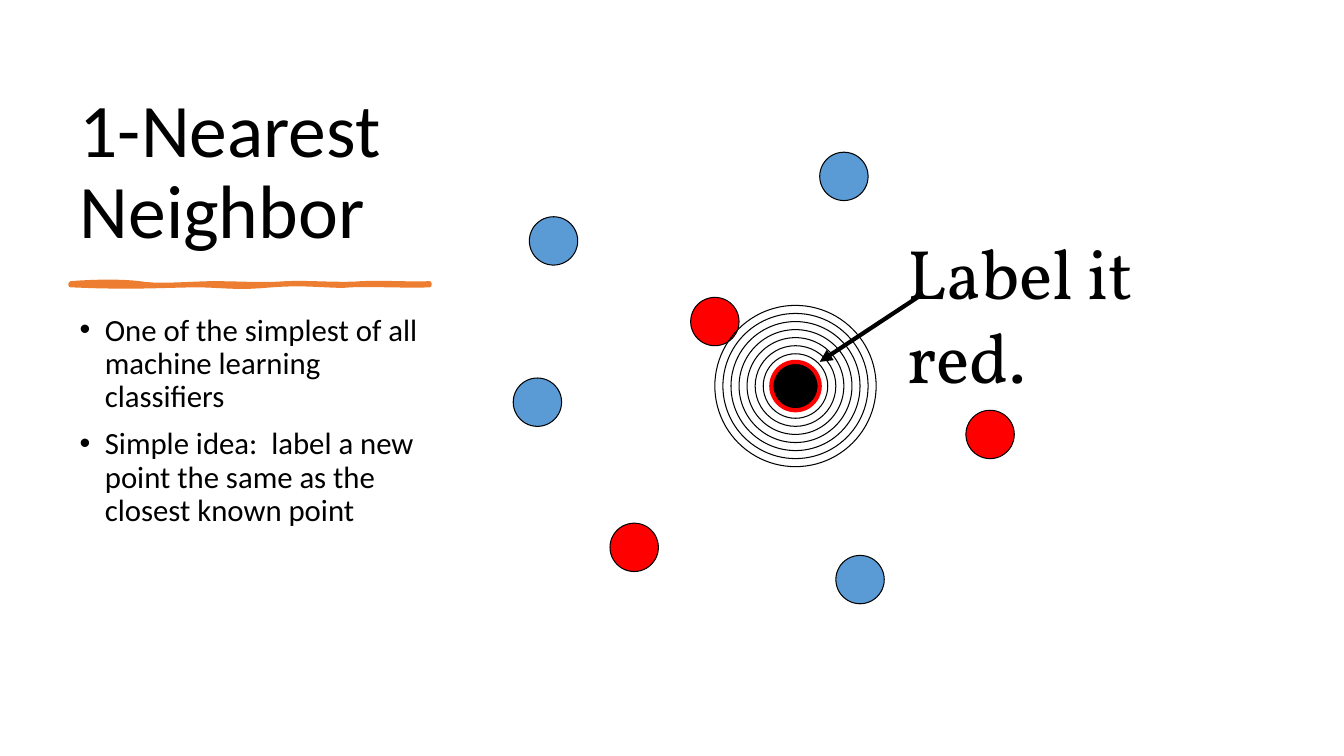
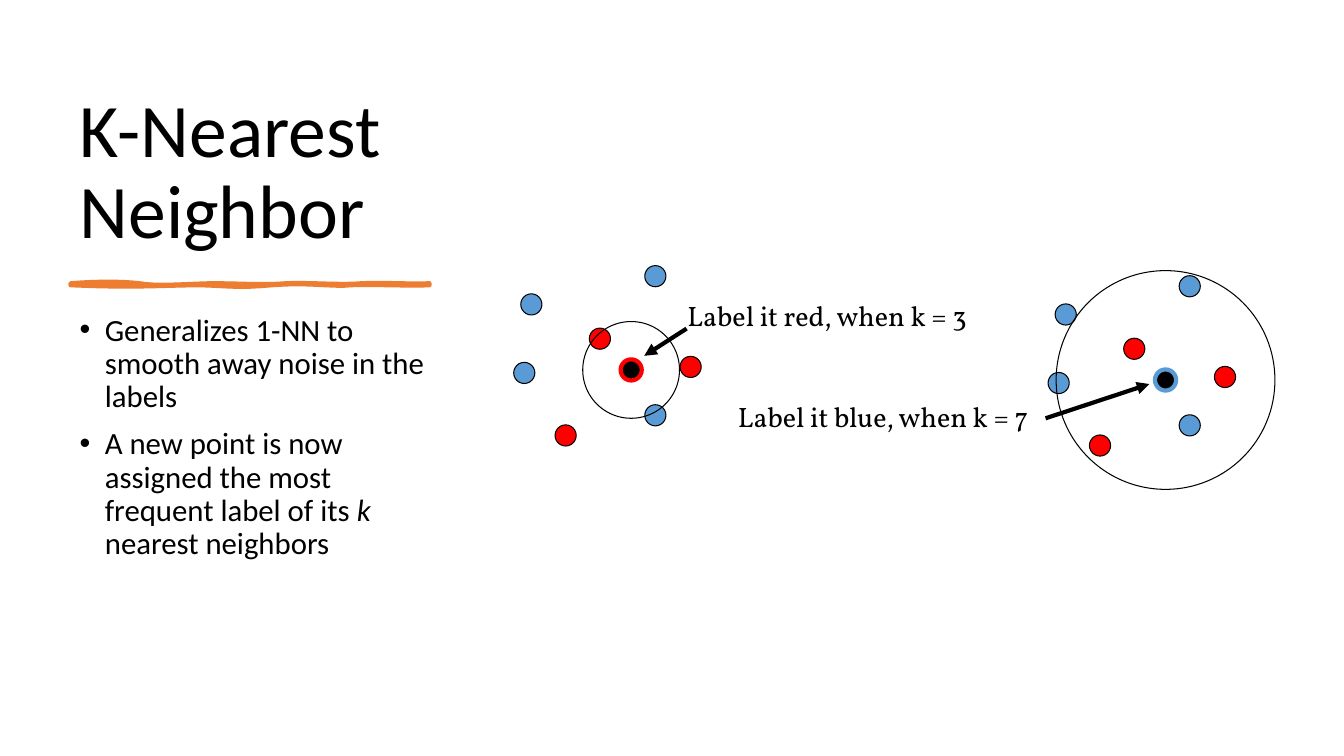
from lxml import etree
from pptx import Presentation
from pptx.dml.color import RGBColor
from pptx.enum.shapes import MSO_CONNECTOR, MSO_SHAPE
from pptx.enum.text import MSO_ANCHOR, MSO_AUTO_SIZE, PP_ALIGN
from pptx.oxml.ns import qn
from pptx.util import Inches, Pt

STRAIGHT = MSO_CONNECTOR.STRAIGHT
OVAL = MSO_SHAPE.OVAL
LEFT = PP_ALIGN.LEFT
TOP, BOTTOM = MSO_ANCHOR.TOP, MSO_ANCHOR.BOTTOM
NO_AUTOFIT = MSO_AUTO_SIZE.NONE

COLORS = {"black": "000000", "red": "FF0000", "blue": "5B9BD5", "orange": "ED7D31"}
HEADING_FONT = "Calibri"
LABEL_FONT = "Vollkorn"
TITLE_AND_CONTENT = 1
CURVE_STEPS = 8

# Brush stroke under the title: a start point, then cubic Bezier segments.
STROKE_START = (0.7, 2.81)
STROKE_CURVES = [
    ((0.97, 2.79), (1.21, 2.79), (1.38, 2.81)),
    ((1.55, 2.84), (1.77, 2.82), (2.09, 2.81)),
    ((2.41, 2.81), (2.6, 2.83), (2.84, 2.81)),
    ((3.08, 2.8), (3.39, 2.83), (3.59, 2.81)),
    ((3.79, 2.8), (4.12, 2.82), (4.26, 2.81)),
    ((4.26, 2.82), (4.26, 2.83), (4.26, 2.83)),
    ((4.08, 2.84), (3.64, 2.82), (3.48, 2.83)),
    ((3.32, 2.85), (3.04, 2.8), (2.7, 2.83)),
    ((2.35, 2.86), (2.31, 2.84), (1.99, 2.83)),
    ((1.66, 2.83), (1.32, 2.86), (0.7, 2.83)),
]

# Known points as (x, y, color), measured from the new point.
WIDE_NEIGHBORS = [
    (-2.4, -1.44, "blue"), (-1.6, 1.6, "red"), (0.48, -2.08, "blue"),
    (-2.56, 0.16, "blue"), (1.93, 0.48, "red"), (-0.8, -0.64, "red"),
    (0.64, 1.92, "blue"),
]
CLOSE_NEIGHBORS = [
    (-0.99, -0.65, "blue"), (-0.65, 0.65, "red"), (0.24, -0.93, "blue"),
    (-1.06, 0.03, "blue"), (0.59, -0.03, "red"), (-0.31, -0.31, "red"),
    (0.24, 0.45, "blue"),
]


def rgb(name):
    return RGBColor.from_string(COLORS[name])


def place(shape, left, top, width, height):
    shape.left, shape.top = Inches(left), Inches(top)
    shape.width, shape.height = Inches(width), Inches(height)


def format_span(span, font_name, size):
    span.font.name = font_name
    span.font.size = Pt(size)
    span.font.color.rgb = rgb("black")


def set_line(line, color, width):
    line.color.rgb = rgb(color)
    line.width = Pt(width)


def add_title(page, text):
    title = page.shapes.title
    place(title, 0.69, 0.7, 3.75, 1.88)
    frame = title.text_frame
    frame.text = text
    frame.auto_size = NO_AUTOFIT
    frame.vertical_anchor = BOTTOM
    para = frame.paragraphs[0]
    para.alignment = LEFT
    para.line_spacing = 0.9
    format_span(para.runs[0], HEADING_FONT, 54)


def add_bullet_mark(para):
    properties = para._p.get_or_add_pPr()
    properties.set("marL", str(Inches(0.25)))
    properties.set("indent", str(Inches(-0.25)))
    etree.SubElement(properties, qn("a:buFont")).set("typeface", "Arial")
    etree.SubElement(properties, qn("a:buChar")).set("char", "•")


def add_bullets(page, bullets):
    """Fill the body; each bullet is a list of spans, every second one italic."""
    body = page.placeholders[1]
    place(body, 0.69, 3.07, 3.75, 3.73)
    frame = body.text_frame
    frame.auto_size = NO_AUTOFIT
    frame.vertical_anchor = TOP
    for number, spans in enumerate(bullets):
        para = frame.add_paragraph() if number else frame.paragraphs[0]
        para.line_spacing = 0.9
        para.space_before = Pt(10)
        add_bullet_mark(para)
        for index, text in enumerate(spans):
            span = para.add_run()
            span.text = text
            format_span(span, HEADING_FONT, 22)
            span.font.italic = index % 2 == 1


def curve_points(start, curves):
    """Sample a chain of cubic Bezier curves."""
    points = []
    for control_a, control_b, end in curves:
        for step in range(1, CURVE_STEPS + 1):
            t = step / CURVE_STEPS
            u = 1 - t
            points.append(tuple(
                Inches(u**3 * p + 3 * u * u * t * a + 3 * u * t * t * b + t**3 * q)
                for p, a, b, q in zip(start, control_a, control_b, end)))
        start = end
    return points


def add_brush_stroke(page):
    x, y = STROKE_START
    builder = page.shapes.build_freeform(Inches(x), Inches(y))
    builder.add_line_segments(curve_points(STROKE_START, STROKE_CURVES))
    stroke = builder.convert_to_shape()
    stroke.shadow.inherit = False
    stroke.fill.solid()
    stroke.fill.fore_color.rgb = rgb("orange")
    set_line(stroke.line, "orange", 3)


def add_lesson_page(deck, title, bullets):
    page = deck.slides.add_slide(deck.slide_layouts[TITLE_AND_CONTENT])
    add_title(page, title)
    add_brush_stroke(page)
    add_bullets(page, bullets)
    return page


def add_circle(page, center, diameter, fill=None, line="black", line_width=0.75):
    x, y = center
    circle = page.shapes.add_shape(
        OVAL, Inches(x - diameter / 2), Inches(y - diameter / 2),
        Inches(diameter), Inches(diameter))
    circle.shadow.inherit = False
    if fill:
        circle.fill.solid()
        circle.fill.fore_color.rgb = rgb(fill)
    else:
        circle.fill.background()
    set_line(circle.line, line, line_width)


def add_cluster(page, center, neighbors, diameter, label_color, rings):
    """Draw the known points, the search rings and the newly labeled point."""
    x, y = center
    for dx, dy, color in neighbors:
        add_circle(page, (x + dx, y + dy), diameter, color)
    for ring in rings:
        add_circle(page, center, ring)
    add_circle(page, center, diameter, "black", label_color, 3)


def add_label(page, text, bounds, size, line_spacing):
    box = page.shapes.add_textbox(*map(Inches, bounds))
    frame = box.text_frame
    frame.text = text
    frame.word_wrap = False
    para = frame.paragraphs[0]
    para.line_spacing = line_spacing
    para.space_after = Pt(6)
    format_span(para.runs[0], LABEL_FONT, size)


def add_arrow(page, start, end):
    arrow = page.shapes.add_connector(STRAIGHT, *map(Inches, start + end))
    set_line(arrow.line, "black", 3)
    properties = arrow.element.spPr
    outline = properties.find(qn("a:ln"))
    etree.SubElement(outline, qn("a:tailEnd")).set("type", "triangle")
    etree.SubElement(properties, qn("a:effectLst"))


def add_one_nearest_page(deck):
    page = add_lesson_page(deck, "1-Nearest Neighbor", [
        ["One of the simplest of all machine learning classifiers"],
        ["Simple idea:  label a new point the same as the closest known point"],
    ])
    rings = [1.6 - 0.16 * step for step in range(7)]
    add_cluster(page, (7.89, 3.83), WIDE_NEIGHBORS, 0.48, "red", rings)
    add_label(page, "Label it red.", (8.9, 2.23, 3.74, 0.96), 50, 1.0)
    add_arrow(page, (9.1, 2.95), (8.13, 3.59))


def add_k_nearest_page(deck):
    page = add_lesson_page(deck, "K-Nearest Neighbor", [
        ["Generalizes 1-NN to smooth away noise in the labels"],
        ["A new point is now assigned the most frequent label of its ", "k",
         " nearest neighbors"],
    ])
    add_cluster(page, (6.26, 3.67), CLOSE_NEIGHBORS, 0.21, "red", [0.96])
    add_label(page, "Label it red, when k = 3", (6.72, 2.95, 3.01, 0.41), 20, 0.9)
    add_arrow(page, (6.81, 3.26), (6.39, 3.53))

    add_cluster(page, (11.56, 3.77), CLOSE_NEIGHBORS, 0.21, "blue", [2.17])
    add_label(page, "Label it blue, when k = 7", (7.22, 3.95, 3.14, 0.41), 20, 0.9)
    add_arrow(page, (10.37, 4.15), (11.4, 3.81))


def main():
    deck = Presentation()
    deck.slide_width, deck.slide_height = Inches(13.33), Inches(7.5)
    add_one_nearest_page(deck)
    add_k_nearest_page(deck)
    deck.save("out.pptx")


if __name__ == "__main__":
    main()
